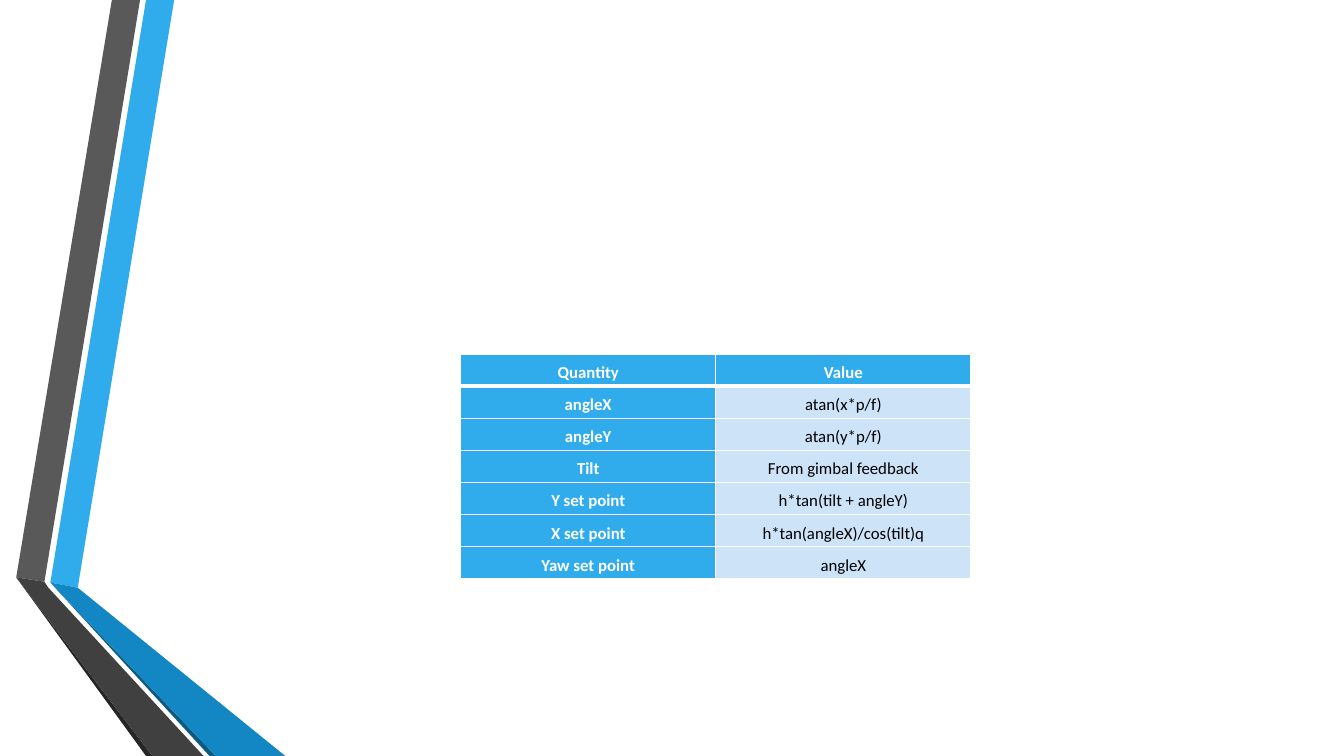
from dataclasses import dataclass

from lxml import etree
from pptx import Presentation
from pptx import util as u
from pptx.dml.color import RGBColor
from pptx.enum import text
from pptx.oxml import ns


@dataclass(frozen=True)
class Theme:
    font: str = "Calibri"
    size: int = 12
    line_spacing: float = 1.25
    white: str = "FFFFFF"
    black: str = "000000"
    blue: str = "30ACEC"
    mid_blue: str = "1287C3"
    deep_blue: str = "0C5A82"
    pale_blue: str = "CDE3F8"
    grey: str = "595959"
    dark_grey: str = "404040"
    deep_grey: str = "262626"


class SlideBuilder:
    def __init__(self, slide, theme):
        self.slide = slide
        self.theme = theme

    def polygon(self, points, color):
        """Draw a filled outline through points given in centimetres."""
        corners = [(u.Cm(x), u.Cm(y)) for x, y in points]
        builder = self.slide.shapes.build_freeform(*corners[0])
        builder.add_line_segments(corners[1:], close=True)
        shape = builder.convert_to_shape()
        shape.shadow.inherit = False
        shape.fill.solid()
        shape.fill.fore_color.rgb = RGBColor.from_string(color)
        shape.line.fill.background()

    def table(self, rows, left, top, column_width, row_height):
        """Draw a table whose first row and first column are headings."""
        column_count = len(rows[0])
        table = self.slide.shapes.add_table(
            len(rows), column_count, u.Cm(left), u.Cm(top),
            u.Cm(column_width * column_count), u.Cm(row_height * len(rows))).table
        for column in table.columns:
            column.width = u.Cm(column_width)
        for row_index, values in enumerate(rows):
            table.rows[row_index].height = u.Cm(row_height)
            for column_index, value in enumerate(values):
                self.cell(table.cell(row_index, column_index), value,
                          heading=row_index == 0 or column_index == 0,
                          top=3 if row_index == 1 else 1,
                          bottom=3 if row_index == 0 else 1)

    def cell(self, cell, value, heading, top, bottom):
        theme = self.theme
        for side, points in (("L", 1), ("R", 1), ("T", top), ("B", bottom)):
            self.border(cell, side, points)
        cell.fill.solid()
        cell.fill.fore_color.rgb = RGBColor.from_string(
            theme.blue if heading else theme.pale_blue)
        cell.margin_left = cell.margin_right = u.Cm(0.18)
        cell.margin_top = cell.margin_bottom = 0
        cell.vertical_anchor = text.MSO_ANCHOR.MIDDLE

        paragraph = cell.text_frame.paragraphs[0]
        paragraph.text = value
        paragraph.alignment = text.PP_ALIGN.CENTER
        paragraph.line_spacing = theme.line_spacing
        font = paragraph.runs[0].font
        font.name = theme.font
        font.size = u.Pt(theme.size)
        font.bold = heading
        font.color.rgb = RGBColor.from_string(
            theme.white if heading else theme.black)

    def border(self, cell, side, points):
        properties = cell._tc.get_or_add_tcPr()
        line = etree.SubElement(properties, ns.qn(f"a:ln{side}"), w=str(u.Pt(points)))
        fill = etree.SubElement(line, ns.qn("a:solidFill"))
        etree.SubElement(fill, ns.qn("a:srgbClr"), val=self.theme.white)


def main():
    presentation = Presentation()
    presentation.slide_width = u.Cm(33.87)
    presentation.slide_height = u.Cm(19.05)
    slide = presentation.slides.add_slide(presentation.slide_layouts[6])
    theme = Theme()
    builder = SlideBuilder(slide, theme)

    # Folded ribbons: corners shared by the upper and lower parts
    bottom = 19.05
    blue_left, blue_right = (1.27, 14.68), (1.96, 14.81)
    grey_left, grey_right = (0.41, 14.55), (1.12, 14.66)
    blue_foot, grey_foot = (5.44, bottom), (3.84, bottom)

    # Upper ribbons
    builder.polygon([blue_left, blue_right, (4.39, 0), (3.68, 0)], theme.blue)
    builder.polygon([grey_left, grey_right, (3.53, 0), (2.82, 0)], theme.grey)

    # Shaded edges of the lower ribbons
    builder.polygon([grey_left, (3.68, bottom), grey_foot], theme.deep_grey)
    builder.polygon([blue_left, (5.28, bottom), blue_foot], theme.deep_blue)

    # Lower ribbons
    builder.polygon([blue_left, blue_foot, (7.19, bottom), blue_right], theme.mid_blue)
    builder.polygon([grey_left, grey_foot, (5.13, bottom), (1.22, 14.81), grey_right],
                    theme.dark_grey)

    # Table of quantities
    builder.table([
        ("Quantity", "Value"),
        ("angleX", "atan(x*p/f)"),
        ("angleY", "atan(y*p/f)"),
        ("Tilt", "From gimbal feedback"),
        ("Y set point", "h*tan(tilt + angleY)"),
        ("X set point", "h*tan(angleX)/cos(tilt)q"),
        ("Yaw set point", "angleX"),
    ], left=11.61, top=8.92, column_width=6.43, row_height=0.81)

    presentation.save("out.pptx")


if __name__ == "__main__":
    main()
